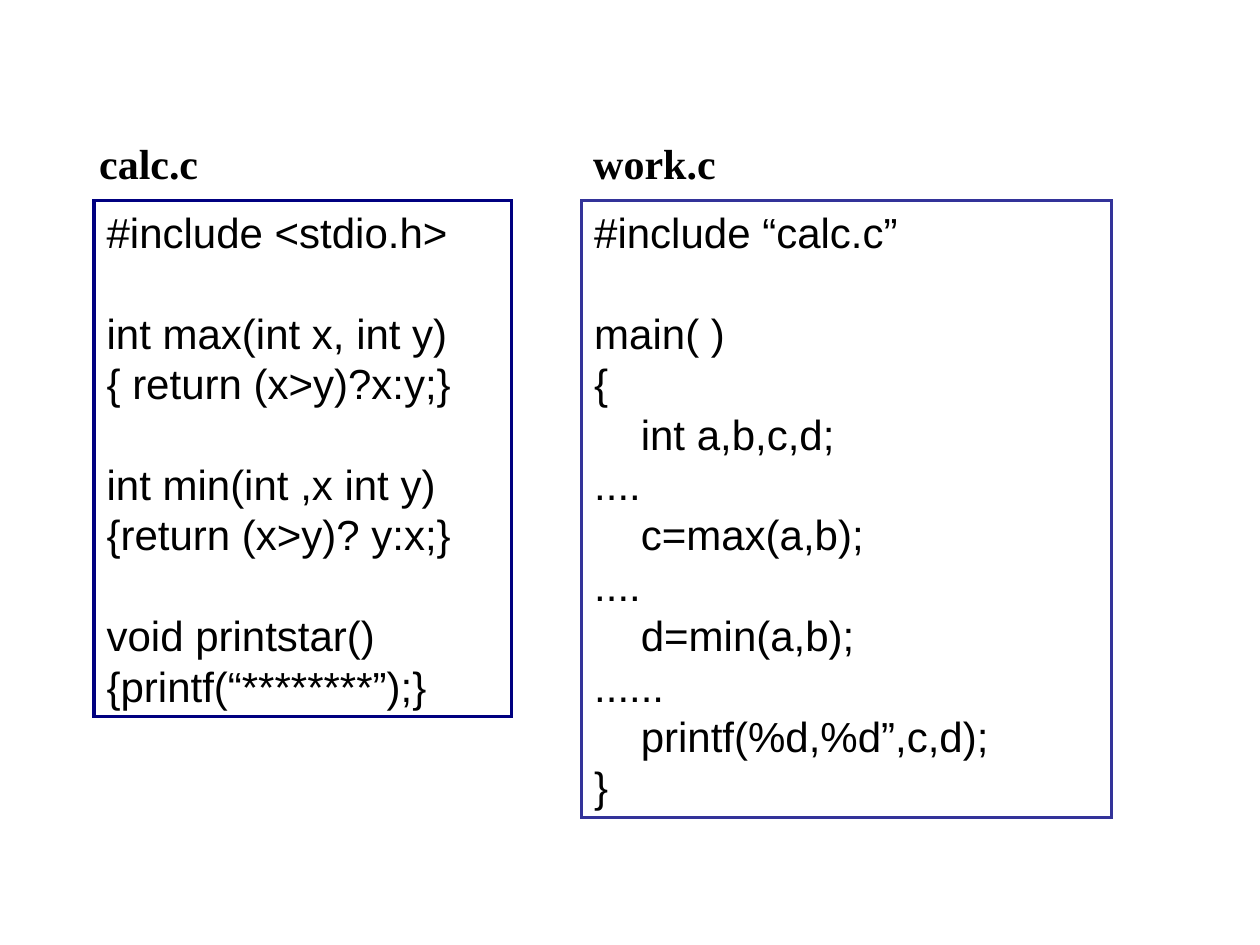
import lxml.etree
import pptx
import pptx.dml.color
import pptx.enum.shapes
import pptx.enum.text
import pptx.oxml.ns
import pptx.util

Cm = pptx.util.Cm
Pt = pptx.util.Pt

COLORS = {"text": "000000", "calc": "000080", "work": "333399"}
LINE_HEIGHT = Pt(28.8)
LABEL_TOP, LABEL_HEIGHT = Cm(2.64), Cm(1.27)
CODE_TOP = Cm(4.04)

CALC_CODE = """#include <stdio.h>

int max(int x, int y)
{ return (x>y)?x:y;}

int min(int ,x int y)
{return (x>y)? y:x;}

void printstar()
{printf(“********”);}"""

WORK_CODE = """#include “calc.c”

main( )
{
    int a,b,c,d;
....
    c=max(a,b);
....
    d=min(a,b);
......
    printf(%d,%d”,c,d);
}"""


def rgb(name):
    return pptx.dml.color.RGBColor.from_string(COLORS[name])


def format_line(paragraph, font_name, bold=False):
    paragraph.alignment = pptx.enum.text.PP_ALIGN.LEFT
    paragraph.line_spacing = LINE_HEIGHT
    for run in paragraph.runs:
        run.font.name = font_name
        run.font.size = Pt(24)
        run.font.bold = bold
        run.font.color.rgb = rgb("text")


def add_file_label(slide, file_name, left, width):
    label = slide.shapes.add_textbox(left, LABEL_TOP, width, LABEL_HEIGHT)
    label.text_frame.word_wrap = False
    label.text_frame.text = file_name
    format_line(label.text_frame.paragraphs[0], "Times New Roman", bold=True)


def add_code_box(slide, code, left, width, height, color, border):
    box = slide.shapes.add_shape(
        pptx.enum.shapes.MSO_SHAPE.RECTANGLE, left, CODE_TOP, width, height)
    box.shadow.inherit = False
    box.fill.background()
    box.line.color.rgb = rgb(color)
    box.line.width = border
    # Sharp corners
    outline = box.line.fill._xPr.find(pptx.oxml.ns.qn("a:ln"))
    if outline is None:
        outline = box.line.fill._xPr
    lxml.etree.SubElement(outline, pptx.oxml.ns.qn("a:miter"), lim="800000")

    frame = box.text_frame
    frame.word_wrap = True
    frame.vertical_anchor = pptx.enum.text.MSO_ANCHOR.TOP

    # An empty line in the code becomes space before the next block
    blocks = [block.split("\n") for block in code.split("\n\n")]
    frame.text = "\n".join(line for block in blocks for line in block)
    starts = set()
    position = 0
    for block in blocks[:-1]:
        position += len(block)
        starts.add(position)
    for index, paragraph in enumerate(frame.paragraphs):
        format_line(paragraph, "Arial")
        if index in starts:
            paragraph.space_before = LINE_HEIGHT


def main():
    deck = pptx.Presentation()
    deck.slide_width, deck.slide_height = Cm(25.4), Cm(19.05)
    slide = deck.slides.add_slide(deck.slide_layouts[6])

    # Library file
    add_code_box(slide, CALC_CODE, Cm(1.9), Cm(8.41), Cm(10.41), "calc", Pt(2))
    add_file_label(slide, "calc.c", Cm(1.75), Cm(2.6))

    # File that includes it
    add_code_box(slide, WORK_CODE, Cm(11.73), Cm(10.67), Cm(12.45), "work", Pt(1.75))
    add_file_label(slide, "work.c", Cm(11.71), Cm(3.1))

    deck.save("out.pptx")


if __name__ == "__main__":
    main()
